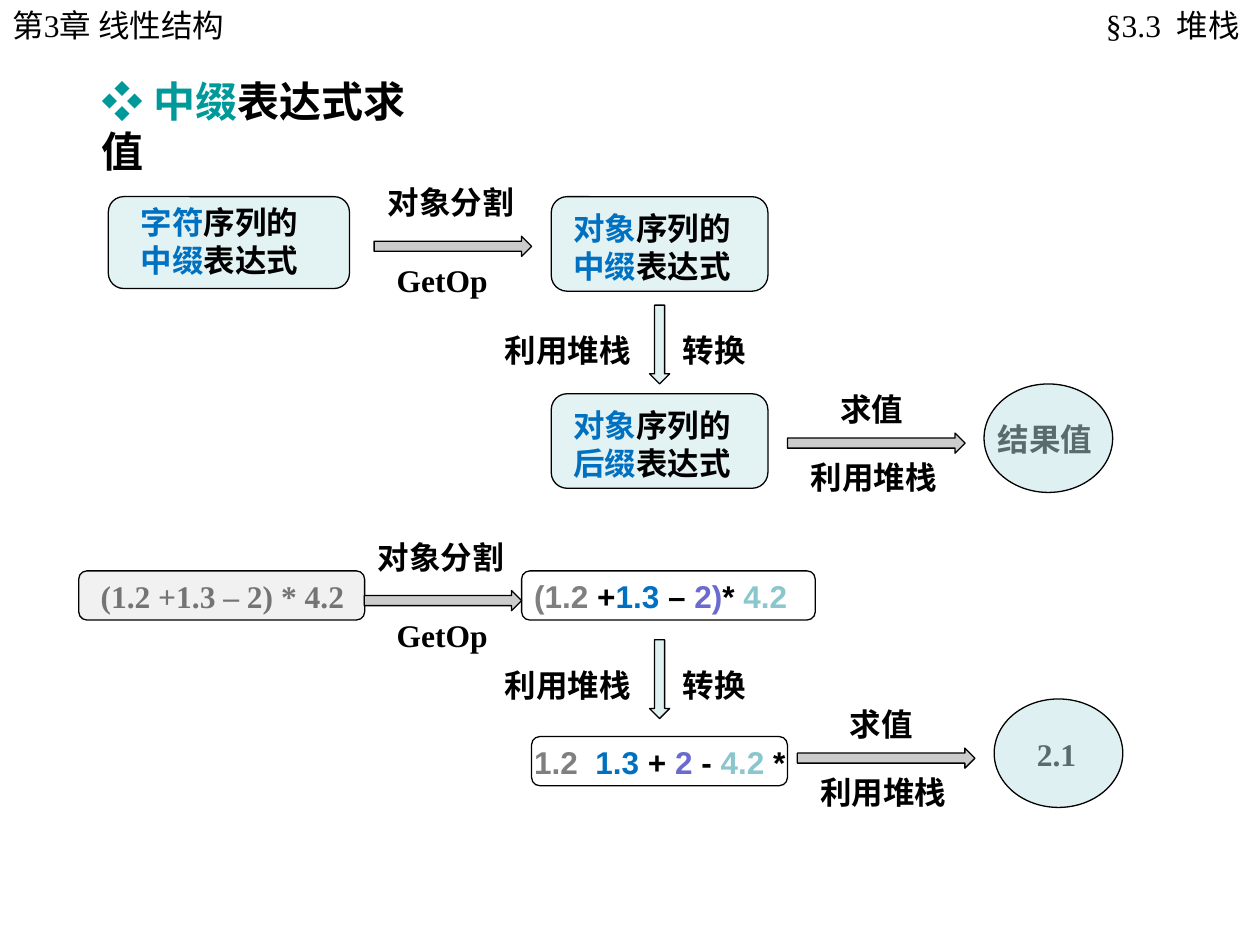
from dataclasses import dataclass
from typing import NamedTuple

from lxml.etree import SubElement
from pptx import Presentation
from pptx.dml.color import RGBColor
from pptx.enum.shapes import MSO_SHAPE as Preset
from pptx.enum.text import MSO_ANCHOR as Anchor, MSO_AUTO_SIZE as AutoSize, PP_ALIGN as Align
from pptx.oxml.ns import qn
from pptx.util import Pt

BLACK = RGBColor(0x00, 0x00, 0x00)
TEAL = RGBColor(0x00, 0x99, 0x99)
BLUE = RGBColor(0x00, 0x70, 0xC0)
GREY = RGBColor(0x7F, 0x7F, 0x7F)
VIOLET = RGBColor(0x6B, 0x6B, 0xCF)
AQUA = RGBColor(0x8A, 0xC6, 0xCD)
PALE_BLUE = RGBColor(0xBB, 0xE0, 0xE3)
PALE_GREY = RGBColor(0xE5, 0xE5, 0xE5)
SILVER = RGBColor(0xCC, 0xCC, 0xCC)

SERIF, SANS = "Times New Roman", "Arial"
LINE_HEIGHT = 29
ARROW_THICKNESS = 11.5


class Run(NamedTuple):
    text: str
    color: RGBColor = BLACK
    font: str = SERIF


class Area(NamedTuple):
    left: float
    top: float
    width: float
    height: float

    def lengths(self) -> list:
        return [Pt(value) for value in self]


class Label(NamedTuple):
    text: str
    left: float
    top: float
    width: float


@dataclass
class Node:
    """An outlined figure with its text; a veil lies over the text."""
    preset: Preset
    area: Area
    text_area: Area
    lines: list
    fill: RGBColor | None = None
    opacity: int = 100
    veil: bool = False
    wrap: bool = True


@dataclass
class Step:
    """A block arrow with its labels."""
    preset: Preset
    area: Area
    labels: list
    fill: RGBColor = SILVER
    opacity: int = 100


def add_text(shapes, area: Area, lines: list, *, size: float = 18, bold: bool = True,
             wrap: bool = False, align: Align = Align.LEFT,
             left_inset: float = 7.2, right_inset: float = 7.2) -> None:
    frame = shapes.add_textbox(*area.lengths()).text_frame
    frame.word_wrap = wrap
    frame.auto_size = AutoSize.SHAPE_TO_FIT_TEXT
    frame.vertical_anchor = Anchor.TOP
    frame.margin_left, frame.margin_right = Pt(left_inset), Pt(right_inset)
    for index, line in enumerate(lines):
        paragraph = frame.add_paragraph() if index else frame.paragraphs[0]
        paragraph.alignment = align
        for part in line:
            run = paragraph.add_run()
            run.text = part.text
            run.font.size, run.font.bold = Pt(size), bold
            run.font.name = part.font
            run.font.color.rgb = part.color


def add_figure(shapes, preset: Preset, area: Area, fill: RGBColor | None, opacity: int) -> None:
    shape = shapes.add_shape(preset, *area.lengths())
    shape.shadow.inherit = False
    shape.line.color.rgb = BLACK
    shape.line.width = Pt(0.75)
    if fill is None:
        shape.fill.background()
        return
    shape.fill.solid()
    shape.fill.fore_color.rgb = fill
    if opacity < 100:
        color = shape._element.spPr.find(qn("a:solidFill"))[0]
        SubElement(color, qn("a:alpha")).set("val", str(opacity * 1000))


def draw_node(slide, node: Node) -> None:
    shapes = slide.shapes.add_group_shape().shapes
    if not node.veil:
        add_figure(shapes, node.preset, node.area, node.fill, node.opacity)
    add_text(shapes, node.text_area, node.lines, wrap=node.wrap)
    if node.veil:
        add_figure(shapes, node.preset, node.area, node.fill, node.opacity)


def draw_step(slide, step: Step) -> None:
    shapes = slide.shapes.add_group_shape().shapes
    add_figure(shapes, step.preset, step.area, step.fill, step.opacity)
    for label in step.labels:
        area = Area(label.left, label.top, label.width, LINE_HEIGHT)
        add_text(shapes, area, [[Run(label.text)]])


def sequence_node(area: Area, text_area: Area, unit: str, notation: str) -> Node:
    lines = [[Run(unit, BLUE), Run("序列的")], [Run(notation, BLUE), Run("表达式")]]
    return Node(Preset.ROUNDED_RECTANGLE, area, text_area, lines, PALE_BLUE, 41)


def expression_node(area: Area, text_area: Area, runs: list,
                    fill: RGBColor | None = None, opacity: int = 100) -> Node:
    return Node(Preset.ROUNDED_RECTANGLE, area, text_area, [runs], fill, opacity, veil=True)


def result_node(left: float, top: float, text: str, text_area: Area) -> Node:
    return Node(Preset.OVAL, Area(left, top, 73.5, 62), text_area, [[Run(text)]],
                PALE_BLUE, 48, veil=True, wrap=False)


def split_step(left: float, top: float) -> Step:
    return Step(Preset.RIGHT_ARROW, Area(left, top, 90, ARROW_THICKNESS),
                [Label("对象分割", left + 0.7, top - 33.7, 86.4),
                 Label("GetOp", 219.6, top + 10.8, 66.2)])


def convert_step(top: float) -> Step:
    return Step(Preset.DOWN_ARROW, Area(371.2, top, ARROW_THICKNESS, 45),
                [Label("利用堆栈", 281.5, top + 11.2, 86.4),
                 Label("转换", 383, top + 11.2, 50.4)], PALE_BLUE, 45)


def evaluate_step(left: float, top: float) -> Step:
    return Step(Preset.RIGHT_ARROW, Area(left, top, 101.5, ARROW_THICKNESS),
                [Label("求值", left + 23, top - 28, 50.4),
                 Label("利用堆栈", left + 6.2, top + 10.8, 86.4)])


def sans_runs(*parts: tuple) -> list:
    return [Run(text, color, SANS) for text, color in parts]


def main() -> None:
    presentation = Presentation()
    presentation.slide_width, presentation.slide_height = Pt(720), Pt(540)
    slide = presentation.slides.add_slide(presentation.slide_layouts[6])

    # Header and title
    add_text(slide.shapes, Area(0, 0, 150.5, LINE_HEIGHT), [[Run("第3章 线性结构")]],
             bold=False, wrap=True)
    add_text(slide.shapes, Area(609.8, 0, 110.2, LINE_HEIGHT), [[Run("§3.3  堆栈")]],
             bold=False, wrap=True, align=Align.RIGHT, left_inset=8.6, right_inset=11.5)
    add_text(slide.shapes, Area(51.1, 39.6, 209, 36),
             [[Run("❖ ", TEAL, SANS), Run("中缀", TEAL), Run("表达式求值")]], size=24, wrap=True)

    # General scheme, then the worked example
    nodes = [
        sequence_node(Area(61.9, 112.4, 137.8, 52.5), Area(73.4, 112.4, 118, 50.4),
                      "字符", "中缀"),
        *(sequence_node(Area(315, top, 123.8, 54), Area(320.4, top + 3.4, 110.9, 50.4),
                        "对象", notation)
          for top, notation in ((112.4, "中缀"), (225, "后缀"))),
        result_node(562.3, 219.4, "结果值", Area(563, 236.2, 68.4, LINE_HEIGHT)),
        expression_node(Area(45, 326.2, 163.4, 28.1), Area(50.4, 326.2, 157.7, LINE_HEIGHT),
                        [Run("(1.2 +1.3 – 2) * 4.2")], PALE_GREY, 51),
        expression_node(Area(298.1, 326.2, 167.8, 28.1), Area(298.1, 326.2, 174.2, LINE_HEIGHT),
                        sans_runs(("(1.2 ", GREY), ("+", BLACK), ("1.3 ", BLUE), ("– ", BLACK),
                                  ("2)", VIOLET), ("* ", BLACK), ("4.2", AQUA))),
        expression_node(Area(303.8, 420.9, 146.2, 28.1), Area(298.1, 420.9, 171.4, LINE_HEIGHT),
                        sans_runs(("1.2  ", GREY), ("1.3", BLUE), (" + ", BLACK), ("2", VIOLET),
                                  (" - ", BLACK), ("4.2", AQUA), (" *", BLACK))),
        result_node(568.1, 399.4, "2.1", Area(585.4, 416.2, 36.7, LINE_HEIGHT)),
    ]
    steps = [split_step(213.8, 135), convert_step(174.4), evaluate_step(450, 247.5),
             split_step(208.1, 337.5), convert_step(365.6), evaluate_step(455.6, 427.5)]
    for node in nodes:
        draw_node(slide, node)
    for step in steps:
        draw_step(slide, step)

    presentation.save("out.pptx")


if __name__ == "__main__":
    main()
